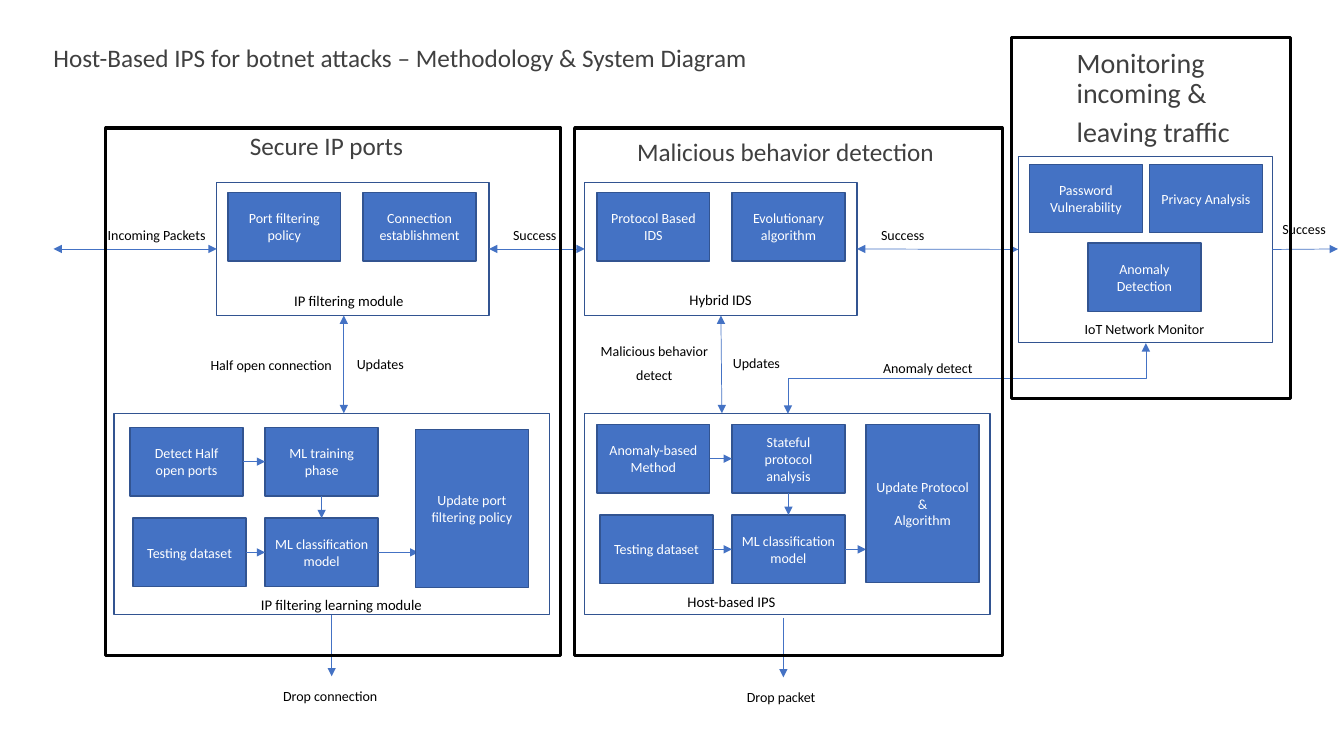
from pptx import Presentation
from pptx.dml.color import RGBColor
from pptx.enum.shapes import MSO_CONNECTOR as Link, MSO_SHAPE as Form
from pptx.enum.text import MSO_ANCHOR as Anchor, MSO_AUTO_SIZE as Fit, PP_ALIGN as Align
from pptx.oxml import parse_xml
from pptx.oxml.ns import nsdecls, qn
from pptx.util import Inches, Pt

TOP, LEFT, BOTTOM, RIGHT = range(4)


def paint(code):
    return RGBColor.from_string(code)


class Board:
    font = "Calibri"
    blue, edge = "4472C4", "325491"
    white, black, gray = "FFFFFF", "000000", "404040"
    wide, high = 1.12, 0.68

    def __init__(self, deck):
        self.slide = deck.slides.add_slide(deck.slide_layouts[5])
        self.shapes = self.slide.shapes

    def words(self, frame, rows, size, color, align=Align.LEFT, indent=0):
        for i, row in enumerate(rows):
            para = frame.paragraphs[0] if i == 0 else frame.add_paragraph()
            para.alignment = align
            if indent:
                para._p.get_or_add_pPr().set("marL", str(Inches(indent)))
                para.line_spacing = 0.9
                para.space_after = Pt(6)
            run = para.add_run()
            run.text = row
            run.font.name = self.font
            run.font.size = Pt(size)
            run.font.color.rgb = paint(color)

    def title(self, text, x, y, w, h):
        head = self.shapes.title
        head.left, head.top, head.width, head.height = map(Inches, (x, y, w, h))
        frame = head.text_frame
        frame.word_wrap = True
        frame.auto_size = Fit.NONE
        frame.vertical_anchor = Anchor.TOP
        self.words(frame, [text], 18, self.gray)

    def rect(self, x, y, w, h, color=None, width=1):
        shape = self.shapes.add_shape(Form.RECTANGLE, *map(Inches, (x, y, w, h)))
        shape.shadow.inherit = False
        shape.fill.background()
        shape.line.color.rgb = paint(color or self.edge)
        shape.line.width = Pt(width)
        return shape

    def step(self, x, y, *rows, h=high):
        shape = self.rect(x, y, self.wide, h)
        shape.fill.solid()
        shape.fill.fore_color.rgb = paint(self.blue)
        frame = shape.text_frame
        frame.word_wrap = True
        frame.vertical_anchor = Anchor.MIDDLE
        self.words(frame, rows, 10, self.white, Align.CENTER)
        return shape

    def label(self, x, y, w, *rows, h=0.27, size=10, color=black,
              wrap=True, align=Align.LEFT, indent=0):
        box = self.shapes.add_textbox(*map(Inches, (x, y, w, h)))
        frame = box.text_frame
        frame.word_wrap = wrap
        frame.auto_size = Fit.SHAPE_TO_FIT_TEXT
        self.words(frame, rows, size, color, align, indent)

    def draw(self, kind, start, end, both):
        line = self.shapes.add_connector(kind, *map(Inches, start + end))
        line.line.color.rgb = paint(self.blue)
        line.line.width = Pt(0.5)
        props = line._element.spPr
        stroke = props.find(qn("a:ln"))
        for tag in ("headEnd", "tailEnd") if both else ("tailEnd",):
            stroke.append(parse_xml(f'<a:{tag} {nsdecls("a")} type="triangle"/>'))
        props.append(parse_xml(f'<a:effectLst {nsdecls("a")}/>'))
        return line

    def arrow(self, start, end, both=False):
        fixed = [isinstance(tip[0], (int, float)) for tip in (start, end)]
        line = self.draw(Link.STRAIGHT, start if fixed[0] else (0, 0),
                         end if fixed[1] else (0, 0), both)
        if not fixed[0]:
            line.begin_connect(*start)
        if not fixed[1]:
            line.end_connect(*end)

    def elbow(self, x, y, w, h):
        line = self.draw(Link.ELBOW, (x, y), (x + w, y + h), True)
        line._element.spPr.find(qn("a:xfrm")).set("rot", str(90 * 60000))


def main():
    deck = Presentation()
    deck.slide_width, deck.slide_height = Inches(13.33), Inches(7.5)
    board = Board(deck)
    rect, step, label, arrow = board.rect, board.step, board.label, board.arrow
    board.title("Host-Based IPS for botnet attacks – Methodology & System Diagram",
                0.43, 0.37, 7.34, 0.4)

    ports = rect(2.15, 1.81, 2.7, 1.32)
    learn = rect(1.13, 4.1, 4.32, 2)
    hybrid = rect(5.8, 1.81, 2.7, 1.32)
    rect(5.8, 4.1, 4.02, 2)
    watch = rect(10.1, 1.55, 2.52, 1.85)

    for x, y, *rows in [
        (2.26, 1.91, "Port filtering policy"),
        (3.6, 1.91, "Connection establishment"),
        (5.92, 1.91, "Protocol Based", "IDS"),
        (7.26, 1.91, "Evolutionary algorithm"),
        (10.21, 1.63, "Password Vulnerability"),
        (11.4, 1.63, "Privacy Analysis"),
        (10.79, 2.41, "Anomaly Detection"),
    ]:
        step(x, y, *rows)

    for x, y, first, second, reach in [
        (1.29, 4.24, "Detect Half open ports", "ML training phase", 2.86),
        (5.92, 4.21, "Anomaly-based Method", "Stateful protocol analysis", 2.67),
    ]:
        source = step(x, y, first)
        train = step(x + 1.34, y, second)
        model = step(x + 1.34, y + 0.9, "ML classification model")
        test = step(x + 0.03, y + 0.9, "Testing dataset")
        arrow((source, RIGHT), (train, LEFT))
        arrow((test, RIGHT), (model, LEFT))
        arrow((train, BOTTOM), (model, TOP))
        arrow((model, RIGHT), (x + reach, y + 1.24))
    step(4.12, 4.26, "Update port filtering policy", h=1.57)
    step(8.59, 4.21, "Update Protocol", "&", "Algorithm", h=1.57)

    arrow((0.53, 2.47), (ports, LEFT), True)
    arrow((ports, RIGHT), (hybrid, LEFT), True)
    arrow((hybrid, RIGHT), (watch, LEFT), True)
    arrow((watch, RIGHT), (13.27, 2.47))
    arrow((3.41, 3.13), (3.41, 4.1), True)
    arrow((7.16, 4.1), (hybrid, BOTTOM), True)
    arrow((learn, BOTTOM), (3.29, 6.71))
    arrow((7.77, 6.13), (7.77, 6.72))
    board.elbow(9.24, 1.98, 0.7, 3.55)

    for x, y, w, text in [
        (2.82, 2.85, 1.34, "IP filtering module"),
        (2.49, 5.86, 1.86, "IP filtering learning module"),
        (6.74, 2.84, 0.83, "Hybrid IDS"),
        (6.72, 5.83, 1.12, "Host-based IPS"),
    ]:
        label(x, y, w, text, h=0.28, size=10.5)

    for x, y, w, text in [
        (0.97, 2.2, 1.19, "Incoming Packets"),
        (4.99, 2.2, 0.68, "Success"),
        (8.64, 2.2, 0.68, "Success"),
        (12.62, 2.14, 0.68, "Success"),
        (1.99, 3.49, 1.42, "Half open connection"),
    ]:
        label(x, y, w, text)

    for x, y, w, text in [
        (3.44, 3.48, 0.68, "Updates"),
        (7.17, 3.47, 0.68, "Updates"),
        (2.71, 6.77, 1.15, "Drop connection"),
        (7.31, 6.78, 0.9, "Drop packet"),
        (8.66, 3.52, 1.1, "Anomaly detect"),
        (10.66, 3.13, 1.4, "IoT Network Monitor"),
    ]:
        label(x, y, w, text, wrap=False)
    label(4.58, 3.37, 2.57, "Malicious behavior", "detect", h=0.49,
          align=Align.CENTER, indent=1.25)

    for x, y, w, h in [(1.05, 1.27, 4.51, 5.23), (5.7, 1.27, 4.24, 5.23),
                       (10.03, 0.37, 2.77, 3.58)]:
        rect(x, y, w, h, board.black, 2.25)
    for x, y, w, text in [(2.38, 1.24, 1.74, "Secure IP ports"),
                          (6.22, 1.3, 3.18, "Malicious behavior detection")]:
        label(x, y, w, text, h=0.4, size=18, color=board.gray, wrap=False)
    label(9.33, 0.44, 3.64, "Monitoring incoming &", "leaving traffic", h=1.09,
          size=20, color=board.gray, indent=1.25)

    deck.save("out.pptx")


if __name__ == "__main__":
    main()
